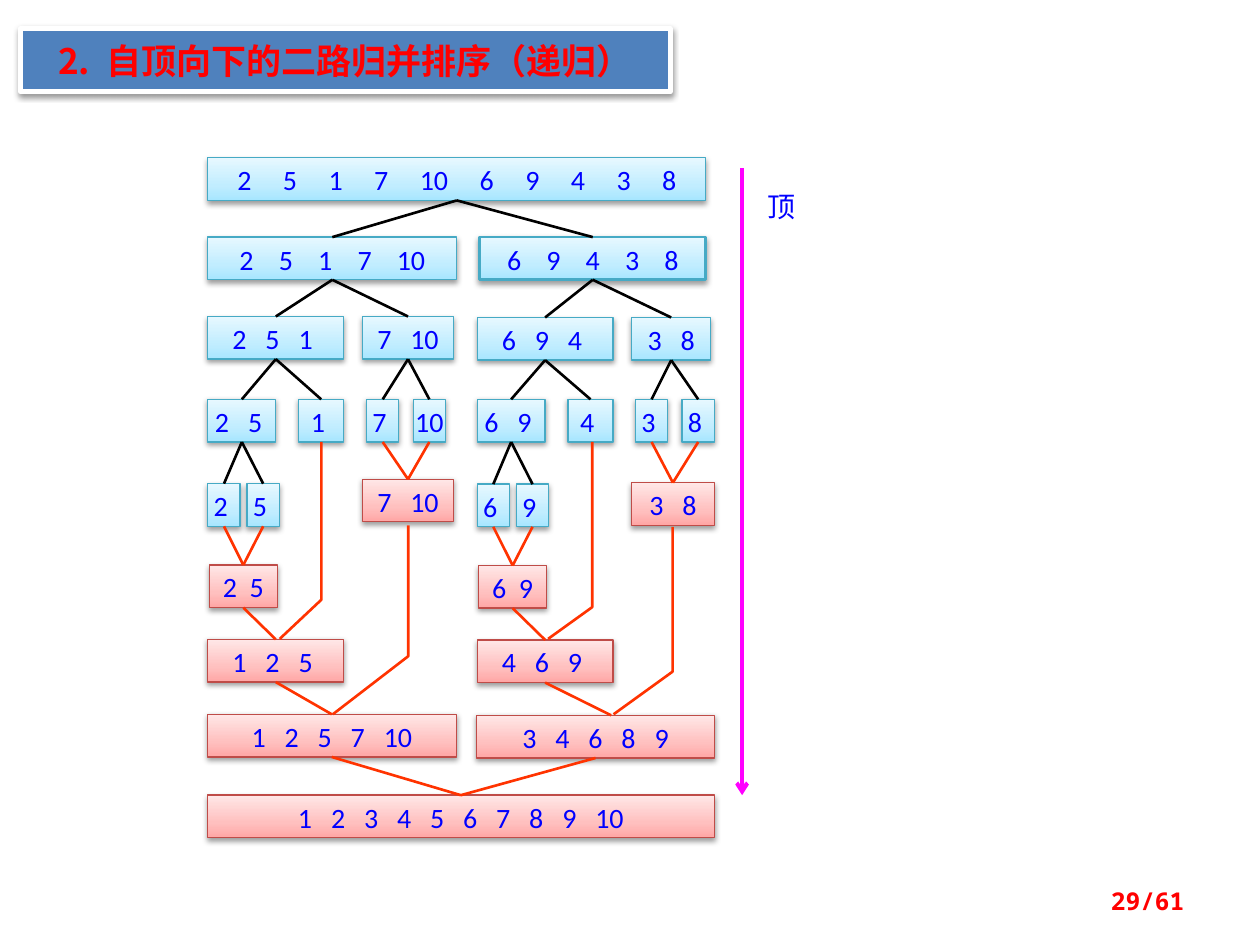
from copy import deepcopy

from pptx import Presentation
from pptx.dml.color import RGBColor
from pptx.enum import shapes, text
from pptx.oxml import parse_xml
from pptx.oxml.ns import nsdecls, qn
from pptx.util import Cm, Pt

SHADOW = (f'<a:outerShdw {nsdecls("a")} blurRad="40000" dist="20000" dir="5400000" rotWithShape="0">'
          '<a:srgbClr val="000000"><a:alpha val="38000"/></a:srgbClr></a:outerShdw>')
BOX_HEIGHT = 0.86
STYLES = {
    "split": (["A7E6FF", "C1EDFF", "E7F8FF"], "46AAC5"),
    "merge": (["FFA6A5", "FFC0BF", "FFE7E7"], "BF4C48"),
}
LINE_COLORS = {"split": "000000", "merge": "FF3300"}


def rgb(value):
    return RGBColor.from_string(value)


def write_words(paragraph, words, extra_gap):
    """Write words parted by single spaces, each widened by extra_gap points."""
    for index, word in enumerate(words):
        if index:
            space = paragraph.add_run()
            space.text = " "
            space._r.get_or_add_rPr().set("spc", str(round(extra_gap * 100)))
        paragraph.add_run().text = word


presentation = Presentation()
presentation.slide_width, presentation.slide_height = Cm(25.4), Cm(19.05)
slide = presentation.slides.add_slide(presentation.slide_layouts[5])

# Title
title = slide.shapes.title
title.left, title.top, title.width, title.height = Cm(0.41), Cm(0.58), Cm(13.1), Cm(1.27)
title.fill.solid()
title.fill.fore_color.rgb = rgb("4F81BD")
title.line.color.rgb = rgb("FFFFFF")
title.line.width = Pt(3)
title.shadow.inherit = False
title._element.spPr.find(qn("a:effectLst")).append(parse_xml(SHADOW))
title.text_frame.vertical_anchor = text.MSO_ANCHOR.MIDDLE
paragraph = title.text_frame.paragraphs[0]
paragraph.alignment = text.PP_ALIGN.CENTER
write_words(paragraph, ["2.", "自顶向下的二路归并排序（递归）"], 4.5)
for run in paragraph.runs:
    run.font.size = Pt(20)
    run.font.bold = True
    run.font.color.rgb = rgb("FF0000")
    run.font.name = "Noto Sans CJK SC"
    run.font._element.append(parse_xml(f'<a:ea {nsdecls("a")} typeface="Noto Sans CJK SC"/>'))

# Number boxes: stage, numbers, left, top, width, gap in spaces, right inset
box_rows = [
    ("split", "2 5 1 7 10 6 9 4 3 8", 4.19, 3.18, 10.04, 5, 0),
    ("split", "2 5 1 7 10", 4.19, 4.78, 5.02, 4, 0),
    ("split", "6 9 4 3 8", 9.67, 4.78, 4.56, 4, 0),
    ("split", "2 5 1", 4.19, 6.38, 2.74, 3, 0.13),
    ("split", "7 10", 7.31, 6.38, 1.83, 3, 0),
    ("split", "6 9 4", 9.62, 6.4, 2.74, 3, 0.13),
    ("split", "3 8", 12.73, 6.4, 1.6, 3, 0),
    ("split", "2 5", 4.19, 8.05, 1.37, 3, 0.13),
    ("split", "1", 6.02, 8.05, 0.91, 1, 0.13),
    ("split", "7", 7.39, 8.05, 0.65, 1, 0.13),
    ("split", "10", 8.33, 8.05, 0.65, 1, 0),
    ("split", "6 9", 9.62, 8.05, 1.37, 3, 0.13),
    ("split", "4", 11.45, 8.05, 0.91, 1, 0.13),
    ("split", "3", 12.81, 8.05, 0.65, 1, 0.13),
    ("split", "8", 13.75, 8.05, 0.65, 1, 0.13),
    ("split", "2", 4.19, 9.75, 0.65, 1, 0.13),
    ("split", "5", 4.98, 9.75, 0.65, 1, 0.13),
    ("split", "6", 9.62, 9.76, 0.65, 1, 0.13),
    ("split", "9", 10.41, 9.76, 0.65, 1, 0.13),
    ("merge", "7 10", 7.31, 9.66, 1.83, 3, 0),
    ("merge", "3 8", 12.73, 9.73, 1.67, 3, 0),
    ("merge", "2 5", 4.22, 11.39, 1.37, 2, 0),
    ("merge", "6 9", 9.65, 11.4, 1.37, 2, 0),
    ("merge", "1 2 5", 4.19, 12.89, 2.74, 3, 0.13),
    ("merge", "4 6 9", 9.62, 12.9, 2.74, 3, 0.13),
    ("merge", "1 2 5 7 10", 4.18, 14.4, 5.02, 3, 0),
    ("merge", "3 4 6 8 9", 9.61, 14.42, 4.79, 3, 0),
    ("merge", "1 2 3 4 5 6 7 8 9 10", 4.18, 16.03, 10.22, 3, 0),
]
boxes = {}
for stage, numbers, left, top, width, gap, right_inset in box_rows:
    shape = slide.shapes.add_shape(shapes.MSO_SHAPE.RECTANGLE, Cm(left), Cm(top), Cm(width), Cm(BOX_HEIGHT))
    boxes[stage, numbers] = shape
    stop_colors, line_color = STYLES[stage]
    shape.fill.gradient()
    shape.fill.gradient_angle = 90
    stop_list = shape._element.spPr.find(f".//{qn('a:gsLst')}")
    stop_list.append(deepcopy(stop_list[-1]))
    for stop, color, position in zip(shape.fill.gradient_stops, stop_colors, (0, 0.35, 1)):
        stop.color.rgb = rgb(color)
        stop.position = position
    shape.line.color.rgb = rgb(line_color)
    shape.line.width = Pt(0.75)
    shape.shadow.inherit = False
    shape._element.spPr.find(qn("a:effectLst")).append(parse_xml(SHADOW))
    frame = shape.text_frame
    frame.word_wrap = False
    frame.vertical_anchor = text.MSO_ANCHOR.TOP
    frame.margin_left = frame.margin_bottom = 0
    frame.margin_top, frame.margin_right = Cm(0.1), Cm(right_inset)
    paragraph = frame.paragraphs[0]
    paragraph.alignment = text.PP_ALIGN.CENTER
    write_words(paragraph, numbers.split(), (gap - 1) * 3.6)
    for run in paragraph.runs:
        run.font.name = "Calibri"
        run.font.size = Pt(16)
        run.font.color.rgb = rgb("0000FF")
boxes["split", "6 9 4 3 8"].line.width = Pt(1.5)

# Straight links, from the bottom of one box to the top of the next
splits = {
    "2 5 1 7 10 6 9 4 3 8": ["2 5 1 7 10", "6 9 4 3 8"],
    "2 5 1 7 10": ["2 5 1", "7 10"],
    "6 9 4 3 8": ["6 9 4", "3 8"],
    "2 5 1": ["2 5", "1"],
    "7 10": ["7", "10"],
    "6 9 4": ["6 9", "4"],
    "3 8": ["3", "8"],
    "2 5": ["2", "5"],
    "6 9": ["6", "9"],
}
links = [("split", parent, "split", child) for parent, children in splits.items() for child in children]
links += [("split", single, "merge", pair)
          for pair in ("2 5", "6 9", "7 10", "3 8") for single in pair.split()]
links += [("merge", source, "merge", target) for source, target in [
    ("1 2 5 7 10", "1 2 3 4 5 6 7 8 9 10"), ("3 4 6 8 9", "1 2 3 4 5 6 7 8 9 10"),
    ("2 5", "1 2 5"), ("6 9", "4 6 9"), ("1 2 5", "1 2 5 7 10"), ("4 6 9", "3 4 6 8 9")]]
for source_stage, source, target_stage, target in links:
    connector = slide.shapes.add_connector(shapes.MSO_CONNECTOR.STRAIGHT, 0, 0, Cm(12.32), Cm(14.42))
    connector.begin_connect(boxes[source_stage, source], 2)
    if source != "4 6 9":  # this link ends right of the middle of its target
        connector.end_connect(boxes[target_stage, target], 0)
    connector.line.color.rgb = rgb(LINE_COLORS[target_stage])
    connector.line.width = Pt(1.5)
    connector._element.spPr.append(parse_xml(f'<a:effectLst {nsdecls("a")}/>'))

# Bent links: start x, start y, bend y, end x, end y
for start_x, start_y, bend_y, end_x, end_y in [
    (6.48, 8.91, 12.09, 5.64, 12.88),
    (8.23, 10.59, 13.23, 6.71, 14.4),
    (11.94, 8.91, 12.24, 11.05, 12.88),
    (13.56, 10.62, 13.54, 12.37, 14.4),
]:
    builder = slide.shapes.build_freeform(Cm(start_x), Cm(start_y))
    builder.add_line_segments([(Cm(start_x), Cm(bend_y)), (Cm(end_x), Cm(end_y))], close=False)
    shape = builder.convert_to_shape()
    shape.fill.background()
    shape.line.color.rgb = rgb(LINE_COLORS["merge"])
    shape.line.width = Pt(1.5)
    shape.shadow.inherit = False

# Direction arrow
arrow = slide.shapes.add_connector(shapes.MSO_CONNECTOR.STRAIGHT, Cm(14.96), Cm(16.03), Cm(14.96), Cm(3.38))
arrow.line.color.rgb = rgb("FF00FF")
arrow.line.width = Pt(2.25)
arrow.line._get_or_add_ln().append(parse_xml(f'<a:headEnd {nsdecls("a")} type="arrow"/>'))
arrow._element.spPr.append(parse_xml(f'<a:effectLst {nsdecls("a")}/>'))

# Arrow label and page number
for words, left, top, width, height, margin, align, font_name, size, color, bold in [
    ("顶", 15.47, 3.81, 0.51, 0.71, 0, text.PP_ALIGN.CENTER, "Times New Roman", 16, "0000FF", False),
    ("29/61", 18.21, 17.65, 5.92, 1.02, 0.25, text.PP_ALIGN.RIGHT, "Noto Sans Mono", 14, "FF0000", True),
]:
    shape = slide.shapes.add_textbox(Cm(left), Cm(top), Cm(width), Cm(height))
    frame = shape.text_frame
    frame.word_wrap = True
    frame.vertical_anchor = text.MSO_ANCHOR.MIDDLE
    frame.margin_left = frame.margin_right = Cm(margin)
    frame.margin_top = frame.margin_bottom = 0
    frame.text = words
    paragraph = frame.paragraphs[0]
    paragraph.alignment = align
    font = paragraph.runs[0].font
    font.name, font.size, font.bold = font_name, Pt(size), bold
    font.color.rgb = rgb(color)

presentation.save("out.pptx")
